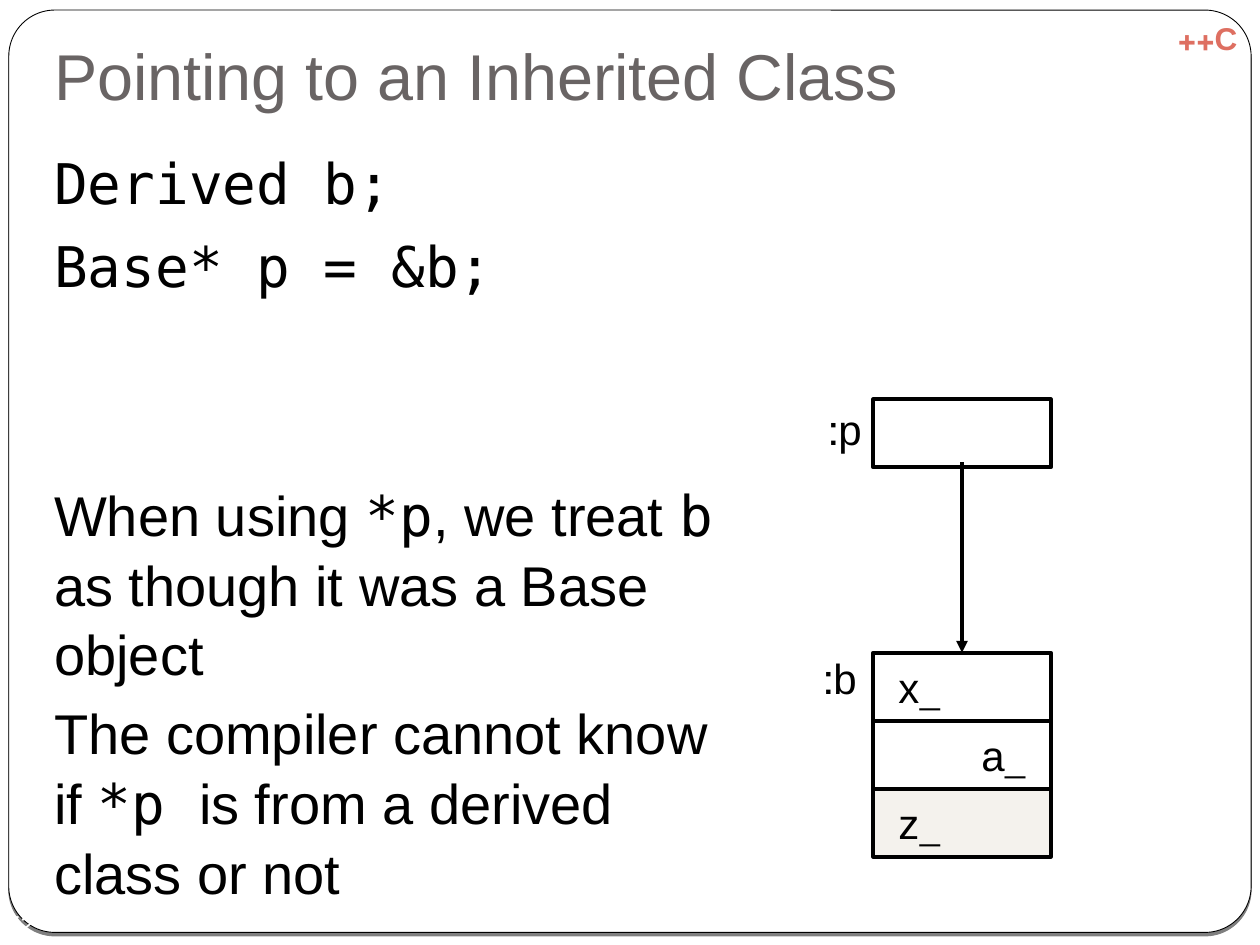
import pptx
import pptx.util
import pptx.dml.color
import pptx.enum.shapes
import pptx.enum.text
import pptx.oxml
import pptx.oxml.ns

Inches = pptx.util.Inches
Pt = pptx.util.Pt
ALIGN = pptx.enum.text.PP_ALIGN
ANCHOR = pptx.enum.text.MSO_ANCHOR
SHAPE = pptx.enum.shapes.MSO_SHAPE
SANS, MONO = "Arial", "DejaVu Sans Mono"
COLORS = {"black": "000000", "white": "FFFFFF", "title": "696464",
          "badge": "DE6F61", "shade": "F4F2ED"}


def rgb(name):
    return pptx.dml.color.RGBColor.from_string(COLORS[name])


def drawing_xml(tag, content=""):
    namespace = pptx.oxml.ns.nsdecls("a")
    name = tag.split()[0]
    return pptx.oxml.parse_xml(f"<a:{tag} {namespace}>{content}</a:{name}>")


def write_text(paragraph, runs, size=24, color="black", bold=False, align=ALIGN.LEFT,
               rtl=False, spacing=None, before=0):
    """Fill a paragraph; runs is a list of (text, font) pairs."""
    paragraph.alignment = align
    paragraph.space_before = Pt(before)
    if spacing:
        paragraph.line_spacing = spacing
    if rtl:
        paragraph._p.get_or_add_pPr().set("rtl", "1")
    for text, font in runs:
        for index, line in enumerate(text.split("\n")):
            if index:
                paragraph.add_line_break()
            run = paragraph.add_run()
            run.text = line
            run.font.name = font
            run.font.size = Pt(size)
            run.font.bold = bold
            run.font.color.rgb = rgb(color)


def set_frame(text_frame, anchor, insets, wrap=True):
    text_frame.vertical_anchor = anchor
    text_frame.word_wrap = wrap
    text_frame.auto_size = pptx.enum.text.MSO_AUTO_SIZE.NONE
    (text_frame.margin_left, text_frame.margin_top,
     text_frame.margin_right, text_frame.margin_bottom) = map(Inches, insets)


def place(shape, box):
    shape.left, shape.top, shape.width, shape.height = map(Inches, box)


def add_label(slide, box, text, insets=(0, 0, 0, 0), anchor=ANCHOR.TOP, wrap=True, **style):
    label = slide.shapes.add_textbox(*map(Inches, box))
    set_frame(label.text_frame, anchor, insets, wrap)
    write_text(label.text_frame.paragraphs[0], [(text, SANS)], **style)


def add_box(slide, box, kind=SHAPE.RECTANGLE, fill=None, line=2.25):
    shape = slide.shapes.add_shape(kind, *map(Inches, box))
    shape.shadow.inherit = False
    if fill:
        shape.fill.solid()
        shape.fill.fore_color.rgb = rgb(fill)
    else:
        shape.fill.background()
    shape.line.color.rgb = rgb("black")
    shape.line.width = Pt(line)
    return shape


def add_slide_frame(slide, box):
    """Rounded page border with its shadow, badge and page number."""
    left, top, width, height = box
    border = add_box(slide, (left + 0.07, top + 0.08, width - 0.14, height - 0.18),
                     SHAPE.ROUNDED_RECTANGLE, "white", 0.5)
    border.adjustments[0] = 0.05
    effects = border._element.spPr.find(pptx.oxml.ns.qn("a:effectLst"))
    effects.append(drawing_xml(
        'outerShdw blurRad="0" dist="25400" dir="5400000" algn="t" rotWithShape="0"',
        '<a:srgbClr val="000000"><a:alpha val="50000"/></a:srgbClr>'))
    slide.shapes._spTree.insert(2, border._element)
    add_label(slide, (left + width - 0.83, top + 0.1, 0.83, 0.4), "C++",
              (0.1, 0.05, 0.1, 0.05), size=18, color="badge", bold=True,
              align=ALIGN.CENTER, rtl=True)
    add_label(slide, (left, top + height - 0.33, 0.33, 0.33), "52", anchor=ANCHOR.MIDDLE,
              size=14, color="white", align=ALIGN.CENTER)


def fill_title(title, box):
    place(title, box)
    set_frame(title.text_frame, ANCHOR.BOTTOM, (0.1, 0.05, 0.1, 0.1))
    write_text(title.text_frame.paragraphs[0], [("Pointing to an Inherited Class", SANS)],
               size=37, color="title", spacing=0.8)


def fill_body(body, box):
    """Code lines at the top, explanations below a gap."""
    place(body, box)
    set_frame(body.text_frame, ANCHOR.TOP, (0.1, 0.05, 0.1, 0.05))
    content = [
        ([("Derived b;\nBase* p = &b;", MONO)], 1.24, 5.8),
        ([("When using ", SANS), ("*p", MONO), (", we treat ", SANS), ("b ", MONO),
          ("as though it was a Base object", SANS)], 1.04, 102),
        ([("The compiler cannot know if ", SANS), ("*p ", MONO),
          ("is from a derived class or not", SANS)], 1.04, 5),
    ]
    for index, (runs, spacing, before) in enumerate(content):
        frame = body.text_frame
        paragraph = frame.add_paragraph() if index else frame.paragraphs[0]
        properties = paragraph._p.get_or_add_pPr()
        properties.set("marL", "0")
        properties.set("indent", "0")
        write_text(paragraph, runs, size=32, spacing=spacing, before=before)
        properties.append(drawing_xml("buNone"))


def add_memory_diagram(slide, box):
    """Pointer cell p with an arrow to the three fields of object b."""
    left, top, width, height = box
    cell = 0.54
    object_top = top + height - 3 * cell
    insets = (0.2, 0.15, 0.2, 0.15)

    # Fields of the object
    fields = [("_x", ALIGN.LEFT, None), ("_a", ALIGN.RIGHT, None), ("_z", ALIGN.LEFT, "shade")]
    for index, (name, align, fill) in enumerate(fields):
        field = add_box(slide, (left, object_top + index * cell, width, cell), fill=fill)
        set_frame(field.text_frame, ANCHOR.MIDDLE, insets)
        write_text(field.text_frame.paragraphs[0], [(name, SANS)], align=align, rtl=True)

    # Pointer cell and labels
    add_box(slide, (left, top, width, cell))
    for name, x, y in (("p:", left - 0.57, top - 0.12), ("b:", left - 0.61, object_top - 0.15)):
        add_label(slide, (x, y, 0.68, 0.7), name, insets, wrap=False,
                  align=ALIGN.RIGHT, rtl=True)

    # Arrow from pointer to object
    center = Inches(left + width / 2)
    arrow = slide.shapes.add_connector(pptx.enum.shapes.MSO_CONNECTOR.STRAIGHT, center,
                                       Inches(top + 0.5), center, Inches(object_top))
    arrow.line.color.rgb = rgb("black")
    arrow.line.width = Pt(2.25)
    arrow.line._get_or_add_ln().append(drawing_xml('tailEnd type="triangle"'))
    arrow._element.spPr.append(drawing_xml("effectLst"))


presentation = pptx.Presentation()
presentation.slide_width, presentation.slide_height = Inches(10), Inches(7.5)
slide = presentation.slides.add_slide(presentation.slide_layouts[1])
slide.background.fill.solid()
slide.background.fill.fore_color.rgb = rgb("white")

add_slide_frame(slide, (0, 0, 10, 7.5))
fill_title(slide.shapes.title, (0.33, 0.3, 9.33, 0.7))
fill_body(slide.placeholders[1], (0.33, 1, 5.58, 6.25))
add_memory_diagram(slide, (6.93, 3.17, 1.41, 3.63))
presentation.save("out.pptx")
